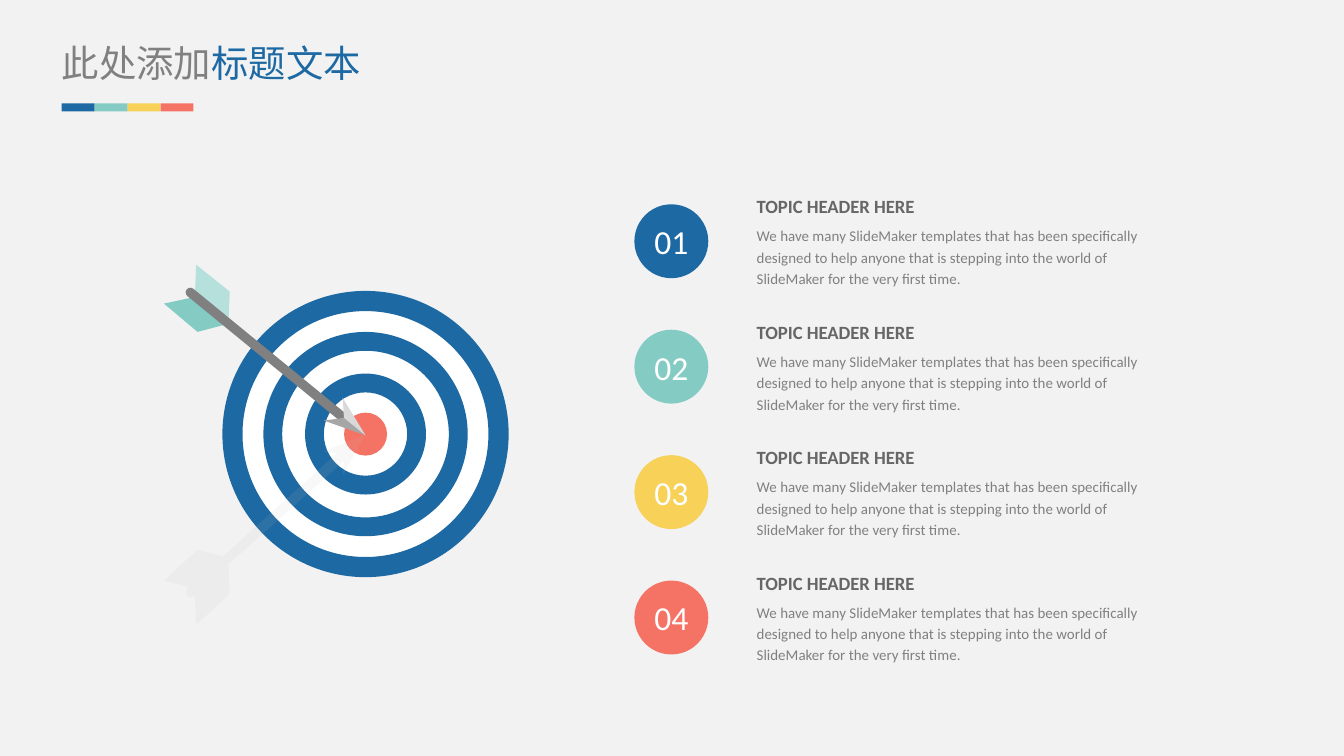
from dataclasses import dataclass

from lxml import etree
from pptx import Presentation
from pptx.dml.color import RGBColor
from pptx.enum.shapes import MSO_SHAPE
from pptx.enum.text import MSO_ANCHOR, PP_ALIGN
from pptx.oxml.ns import qn
from pptx.util import Inches, Pt

OVAL, DONUT = MSO_SHAPE.OVAL, MSO_SHAPE.DONUT
RECT, ROUNDED = MSO_SHAPE.RECTANGLE, MSO_SHAPE.ROUNDED_RECTANGLE
MIDDLE, CENTER = MSO_ANCHOR.MIDDLE, PP_ALIGN.CENTER


@dataclass(frozen=True)
class Theme:
    background: str = "F2F2F2"
    blue: str = "1D69A3"
    teal: str = "84CBC3"
    light_teal: str = "B5E0DB"
    yellow: str = "F8D158"
    red: str = "F57365"
    white: str = "FFFFFF"
    heading: str = "666666"
    gray: str = "808080"
    steel: str = "A6A6A6"
    light_steel: str = "D9D9D9"
    shadow: str = "BFBFBF"
    font: str = "Calibri"
    title_font: str = "Noto Sans CJK SC"
    title_size: int = 20
    number_size: int = 18
    heading_size: int = 10
    body_size: int = 8


T = Theme()
ACCENTS = (T.blue, T.teal, T.yellow, T.red)
HEADING = "TOPIC HEADER HERE"
BODY = ("We have many SlideMaker templates that has been specifically designed "
        "to help anyone that is stepping into the world of SlideMaker for the "
        "very first time.")

RINGS = ((2.13, 0.15), (1.52, 0.14), (0.9, 0.14))
FEATHERS = (
    (T.teal, ((0.48, 0.44), (0.25, 0.5), (0, 0.29), (0.23, 0.24))),
    (T.light_teal, ((0.48, 0.44), (0.49, 0.2), (0.24, 0), (0.23, 0.24))),
)
ARROWHEAD = (
    (T.steel, ((1.19, 1.16), (1.5, 1.27), (1.34, 1.14))),
    (T.light_steel, ((1.34, 1.14), (1.5, 1.27), (1.33, 0.99))),
)
ARROW_SHADOW = (
    (1.5, 1.26), (1.33, 1.57), (1.34, 1.46), (0.48, 2.23), (0.49, 2.45),
    (0.24, 2.68), (0.23, 2.46), (0.2, 2.48), (0.17, 2.46), (0.17, 2.42),
    (0.19, 2.4), (0, 2.35), (0.25, 2.12), (0.44, 2.17), (1.29, 1.4),
    (1.19, 1.39),
)


def paint(sp, color):
    sp.shadow.inherit = False
    sp.fill.solid()
    sp.fill.fore_color.rgb = RGBColor.from_string(color)
    sp.line.fill.background()
    return sp


def add_solid(s, kind, x, y, w, h, color):
    sp = s.shapes.add_shape(kind, Inches(x), Inches(y), Inches(w), Inches(h))
    return paint(sp, color)


def add_centered(s, kind, cx, cy, w, h, color):
    return add_solid(s, kind, cx - w / 2, cy - h / 2, w, h, color)


def add_polygon(s, x, y, points, color):
    corners = [(Inches(x + dx), Inches(y + dy)) for dx, dy in points]
    builder = s.shapes.build_freeform(*corners[0])
    builder.add_line_segments(corners[1:], close=True)
    return paint(builder.convert_to_shape(), color)


def clear_margins(tf):
    tf.margin_left = tf.margin_top = tf.margin_right = tf.margin_bottom = 0
    tf.word_wrap = True


def add_text_frame(s, x, y, w, h):
    tf = s.shapes.add_textbox(Inches(x), Inches(y), Inches(w), Inches(h)).text_frame
    clear_margins(tf)
    return tf


def style(p, size, color, bold=False):
    p.font.name = T.font
    p.font.size = Pt(size)
    p.font.bold = bold
    p.font.color.rgb = RGBColor.from_string(color)


def add_title(s, x, y, w):
    p = add_text_frame(s, x, y, w, 0.34).paragraphs[0]
    p.font.size = Pt(T.title_size)
    p.font.name = T.title_font
    for text, color in (("此处添加", T.gray), ("标题文本", T.blue)):
        r = p.add_run()
        r.text = text
        r.font.color.rgb = RGBColor.from_string(color)
        r.font.name = T.title_font
        etree.SubElement(r.font._element, qn("a:ea"), typeface=T.title_font)
    bar_w = 0.98 / len(ACCENTS)
    for i, color in enumerate(ACCENTS):
        add_solid(s, RECT, x + i * bar_w, y + 0.47, bar_w, 0.06, color)


def add_target(s, x, y):
    cx, cy = x + 1.5, y + 1.26
    add_centered(s, OVAL, cx, cy, 2.11, 2.11, T.white)
    add_centered(s, OVAL, cx, cy, 0.32, 0.32, T.red)
    for size, thickness in RINGS:
        ring = add_centered(s, DONUT, cx, cy, size, size, T.blue)
        ring.adjustments[0] = thickness / size
    for color, points in FEATHERS:
        add_polygon(s, x, y, points, color)
    shaft = add_centered(s, ROUNDED, x + 0.8, y + 0.7, 1.63, 0.07, T.gray)
    shaft.adjustments[0] = 0.5
    shaft.rotation = 39.3
    for color, points in ARROWHEAD:
        add_polygon(s, x, y, points, color)
    shadow = add_polygon(s, x, y, ARROW_SHADOW, T.shadow)
    rgb = shadow.fill._xPr.find(".//" + qn("a:srgbClr"))
    etree.SubElement(rgb, qn("a:alpha"), val="10000")


def add_topic(s, x, y, w, h, number, color):
    tf = add_text_frame(s, x + 0.91, y, w - 0.91, h)
    p = tf.paragraphs[0]
    p.text = HEADING
    p.line_spacing = 1.2
    style(p, T.heading_size, T.heading, True)
    p = tf.add_paragraph()
    p.text = BODY
    p.line_spacing = 1.2
    p.space_before = Pt(3)
    style(p, T.body_size, T.gray)

    tf = add_solid(s, OVAL, x, y + 0.1, 0.55, 0.55, color).text_frame
    clear_margins(tf)
    tf.vertical_anchor = MIDDLE
    p = tf.paragraphs[0]
    p.text = f"{number:02}"
    p.alignment = CENTER
    style(p, T.number_size, T.white)


def add_topics(s, x, y, w, h):
    row_h = 0.73
    pitch = (h - row_h) / (len(ACCENTS) - 1)
    for i, color in enumerate(ACCENTS):
        add_topic(s, x, y + i * pitch, w, row_h, i + 1, color)


def main():
    prs = Presentation()
    prs.slide_width = Inches(10)
    prs.slide_height = prs.slide_width * 9 // 16
    s = prs.slides.add_slide(prs.slide_layouts[6])
    s.background.fill.solid()
    s.background.fill.fore_color.rgb = RGBColor.from_string(T.background)
    add_target(s, 1.22, 1.97)
    add_topics(s, 4.72, 1.42, 3.82, 3.53)
    add_title(s, 0.46, 0.3, 3.04)
    prs.save("out.pptx")


if __name__ == "__main__":
    main()
